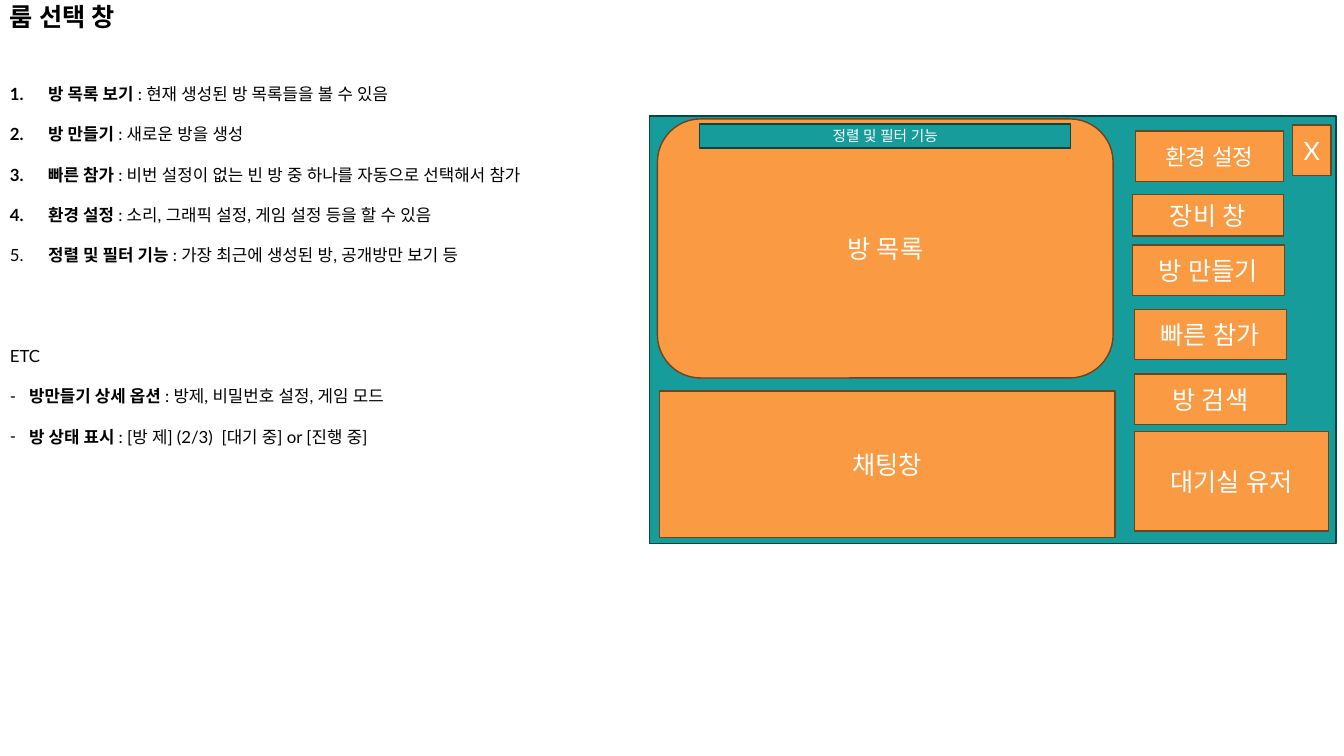
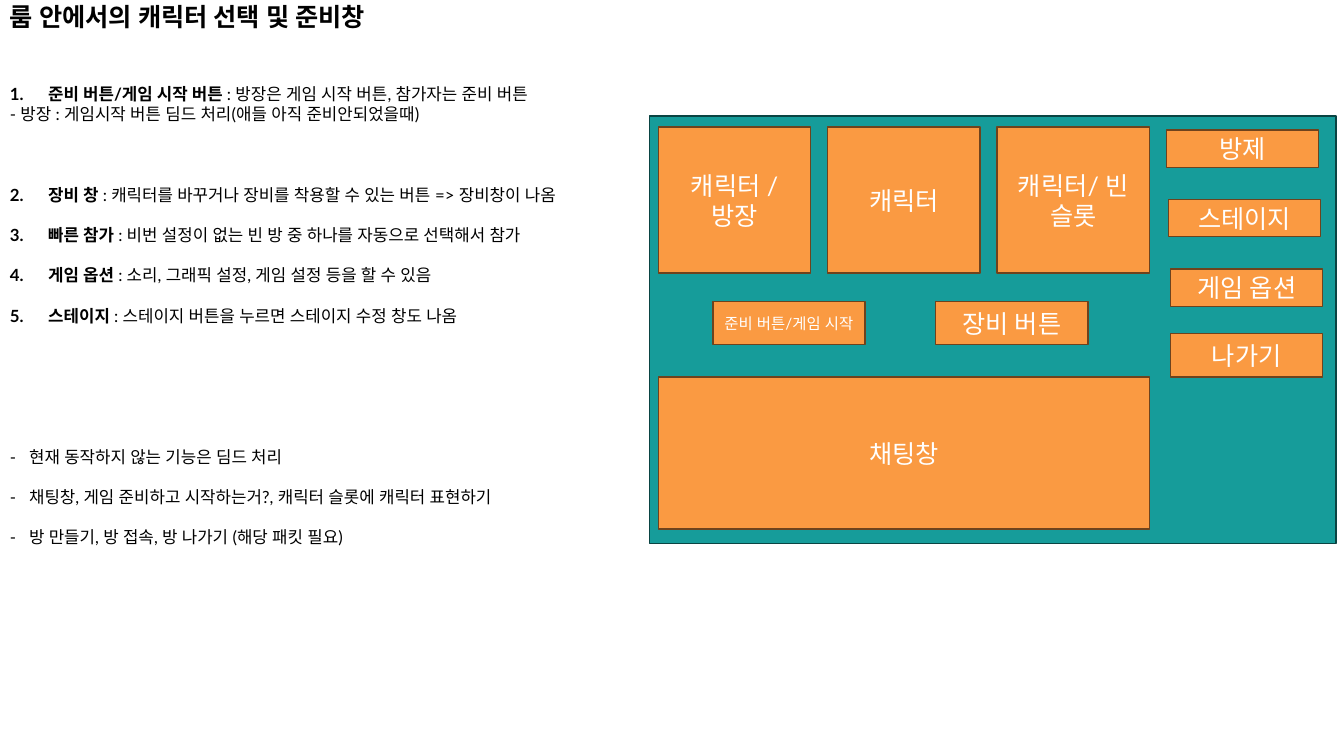
"""Builds two game lobby screen plans with python-pptx."""
from lxml import etree
from pptx import Presentation
from pptx.dml.color import RGBColor
from pptx.enum.shapes import MSO_SHAPE
from pptx.enum.text import MSO_ANCHOR, PP_ALIGN
from pptx.oxml.ns import qn
from pptx.util import Inches, Pt

RECT, ROUND = MSO_SHAPE.RECTANGLE, MSO_SHAPE.ROUNDED_RECTANGLE
TOP, MIDDLE = MSO_ANCHOR.TOP, MSO_ANCHOR.MIDDLE
LEFT, CENTER = PP_ALIGN.LEFT, PP_ALIGN.CENTER

BLACK = RGBColor(0x00, 0x00, 0x00)
WHITE = RGBColor(0xFF, 0xFF, 0xFF)
TEAL = RGBColor(0x16, 0x9C, 0x9A)
PINE = RGBColor(0x0A, 0x44, 0x43)
ORANGE = RGBColor(0xFA, 0x9A, 0x42)
BROWN = RGBColor(0x6E, 0x43, 0x1D)

FONT = "Lato"
LINE = 14.4
PANEL = (6.44, 1.15, 6.81, 4.24)
INDENT = {"1": 0.38, "2": 0.38, "tab": 0.38, "-": 0.19, "": 0}

WIDE = 1.51
HEROES = ["캐릭터 / 방장", "캐릭터", "캐릭터/ 빈 슬롯"]
ACTIONS = [("준비 버튼/게임 시작", 11), ("장비 버튼", 18)]
OPTIONS = ["방제", "스테이지", "게임 옵션"]

# Notes: mark, blank lines above, runs as (text, bold)
SLIDES = [
    {
        "title": "룸 선택 창",
        "notes": [
            ("1", 0, [("방 목록 보기 ", True), (": 현재 생성된 방 목록들을 볼 수 있음", False)]),
            ("1", 1, [("방 만들기 ", True), (": 새로운 방을 생성", False)]),
            ("1", 1, [("빠른 참가 ", True),
                      (": 비번 설정이 없는 빈 방 중 하나를 자동으로 선택해서 참가", False)]),
            ("1", 1, [("환경 설정 ", True), (": 소리, 그래픽 설정, 게임 설정 등을 할 수 있음", False)]),
            ("tab", 1, [("5.\t", False), ("정렬 및 필터 기능 ", True),
                        (": 가장 최근에 생성된 방, 공개방만 보기 등", False)]),
            ("", 4, [("ETC", False)]),
            ("-", 1, [("방만들기 상세 옵션 ", True), (": 방제, 비밀번호 설정, 게임 모드", False)]),
            ("-", 1, [("방 상태 표시 ", True), (": [방 제] (2/3)  [대기 중] or [진행 중]", False)]),
        ],
        "boxes": [
            ("방 목록", (6.52, 1.18, 4.52, 2.57), {"kind": ROUND}),
            ("정렬 및 필터 기능", (6.94, 1.23, 3.68, 0.24),
             {"fill": TEAL, "edge": PINE, "size": 10.5}),
            ("채팅창", (6.54, 3.88, 4.52, 1.45), {}),
            ("환경 설정", (11.26, 1.3, 1.47, 0.5), {"size": 16}),
            ("X", (12.82, 1.24, 0.38, 0.5), {}),
            ("장비 창", (11.23, 1.93, 1.5, 0.41), {}),
            ("방 만들기", (11.23, 2.43, WIDE, 0.5), {}),
            ("빠른 참가", (11.25, 3.07, WIDE, 0.5), {}),
            ("방 검색", (11.25, 3.71, WIDE, 0.5), {}),
            ("대기실 유저", (11.25, 4.28, 1.93, 0.99), {}),
        ],
    },
    {
        "title": "룸 안에서의 캐릭터 선택 및 준비창",
        "notes": [
            ("1", 0, [("준비 버튼/게임 시작 버튼 ", True),
                      (": 방장은 게임 시작 버튼, 참가자는 준비 버튼", False)]),
            ("", 0, [("- 방장 : 게임시작 버튼 딤드 처리(애들 아직 준비안되었을때)", False)]),
            ("2", 3, [("장비 창 ", True),
                      (": 캐릭터를 바꾸거나 장비를 착용할 수 있는 버튼 => 장비창이 나옴", False)]),
            ("2", 1, [("빠른 참가 ", True),
                      (": 비번 설정이 없는 빈 방 중 하나를 자동으로 선택해서 참가", False)]),
            ("2", 1, [("게임 옵션 ", True), (": 소리, 그래픽 설정, 게임 설정 등을 할 수 있음", False)]),
            ("2", 1, [("스테이지 ", True),
                      (": 스테이지 버튼을 누르면 스테이지 수정 창도 나옴", False)]),
            ("-", 6, [("현재 동작하지 않는 기능은 딤드 처리", False)]),
            ("-", 1, [("채팅창, 게임 준비하고 시작하는거?, 캐릭터 슬롯에 캐릭터 표현하기", False)]),
            ("-", 1, [("방 만들기, 방 접속, 방 나가기 (해당 패킷 필요)", False)]),
        ],
        "boxes": [
            *[(name, (6.53 + 1.68 * i, 1.26, WIDE, 1.45), {})
              for i, name in enumerate(HEROES)],
            *[(name, (7.07 + 2.21 * i, 2.99, WIDE, 0.43), {"size": size})
              for i, (name, size) in enumerate(ACTIONS)],
            ("채팅창", (6.53, 3.74, 4.87, 1.51), {}),
            *[(name, (11.57 + 0.02 * i, 1.29 + 0.69 * i, WIDE, 0.37), {})
              for i, name in enumerate(OPTIONS)],
            ("나가기", (11.61, 3.31, WIDE, 0.43), {}),
        ],
    },
]


def inches(area):
    return [Inches(round(side, 2)) for side in area]


def write(para, text, size=18, color=WHITE, bold=False, align=LEFT):
    para.alignment = align
    run = para.add_run()
    run.text = text
    font = run.font
    font.name, font.size, font.bold = FONT, Pt(size), bold
    font.color.rgb = color
    props = run._r.get_or_add_rPr()
    etree.SubElement(props, qn("a:ea")).set("typeface", FONT)


def mark(para, kind):
    props = para._p.get_or_add_pPr()
    props.set("marL", str(Inches(INDENT[kind])))
    props.set("indent", str(-Inches(INDENT[kind])))
    if kind in ("", "tab"):
        etree.SubElement(props, qn("a:buNone"))
        return
    etree.SubElement(props, qn("a:buFont")).set("typeface", FONT)
    if kind == "-":
        etree.SubElement(props, qn("a:buChar")).set("char", kind)
    else:
        auto = etree.SubElement(props, qn("a:buAutoNum"))
        auto.set("type", "arabicPeriod")
        auto.set("startAt", kind)


def add_frame(slide, area):
    frame = slide.shapes.add_textbox(*inches(area)).text_frame
    frame.word_wrap, frame.vertical_anchor = True, TOP
    return frame


def add_title(slide, text):
    para = add_frame(slide, (0, 0, 6.25, 0.5)).paragraphs[0]
    para.line_spacing = 0.9
    write(para, text, color=BLACK, bold=True)


def add_notes(slide, notes):
    frame = add_frame(slide, (0, 0.78, 6.25, 5.15))
    for i, (kind, gap, runs) in enumerate(notes):
        para = frame.add_paragraph() if i else frame.paragraphs[0]
        para.space_before = Pt(gap * LINE)
        mark(para, kind)
        for text, bold in runs:
            write(para, text, size=12, color=BLACK, bold=bold)


def add_box(slide, text, area, kind=RECT, fill=ORANGE, edge=BROWN, size=18):
    box = slide.shapes.add_shape(kind, *inches(area))
    box.shadow.inherit = False
    box.fill.solid()
    box.fill.fore_color.rgb = fill
    box.line.color.rgb = edge
    box.line.width = Pt(1)
    if text:
        frame = box.text_frame
        frame.word_wrap, frame.vertical_anchor = True, MIDDLE
        write(frame.paragraphs[0], text, size=size, align=CENTER)


def main():
    deck = Presentation()
    deck.slide_width, deck.slide_height = Inches(13.33), Inches(7.5)
    for page in SLIDES:
        slide = deck.slides.add_slide(deck.slide_layouts[6])
        add_title(slide, page["title"])
        add_notes(slide, page["notes"])
        add_box(slide, "", PANEL, fill=TEAL, edge=PINE)
        for text, area, style in page["boxes"]:
            add_box(slide, text, area, **style)
    deck.save("out.pptx")


if __name__ == "__main__":
    main()
